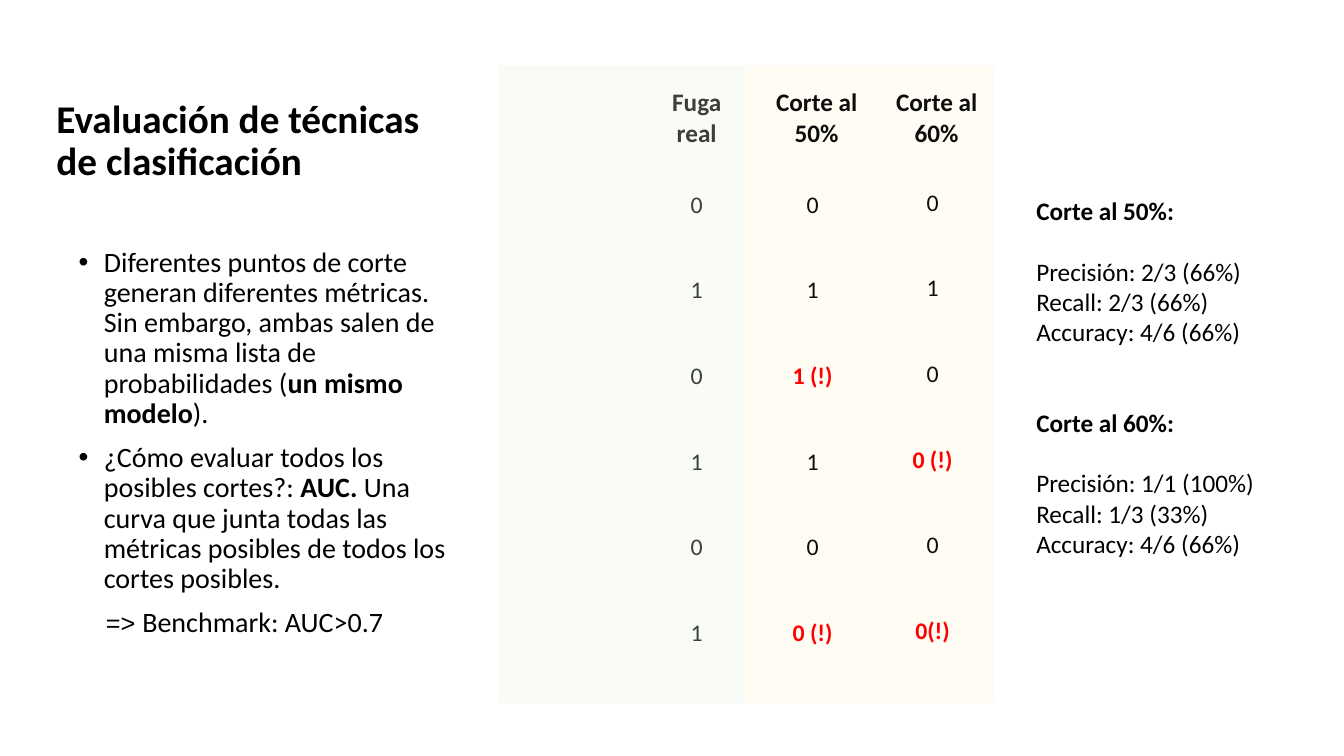
import pptx
import pptx.dml.color
import pptx.enum.shapes
import pptx.enum.text
import pptx.oxml.ns
import pptx.util
from lxml import etree

Inches = pptx.util.Inches
Pt = pptx.util.Pt
ALIGN = pptx.enum.text.PP_ALIGN
ANCHOR = pptx.enum.text.MSO_ANCHOR
BLACK, DARK, RED = "000000", "0D0D0D", "FF0000"

COLUMNS = [  # heading, left, width, heading width, top, values
    ("Fuga real", 6.42, 0.98, 0.98, 1.83, ["0", "1", "0", "1", "0", "1"]),
    ("Corte al 50%", 7.57, 0.98, 1.21, 1.83,
     ["0", "1", "1 (!)", "1", "0", "0 (!)"]),
    ("Corte al 60%", 8.76, 0.98, 1.21, 1.81,
     ["0", "1", "0", "0 (!)", "0", "0(!)"]),
]
METRICS = [
    ("Corte al 50%:", ["Precisión: 2/3 (66%)", "Recall: 2/3 (66%)",
                       "Accuracy: 4/6 (66%)"]),
    ("Corte al 60%:", ["Precisión: 1/1 (100%)", "Recall: 1/3 (33%)",
                       "Accuracy: 4/6 (66%)"]),
]
BULLETS = [  # each run: text, bold
    [("Diferentes puntos de corte generan diferentes métricas. Sin embargo, "
      "ambas salen de una misma lista de probabilidades (", False),
     ("un mismo modelo", True), (").", False)],
    [("¿Cómo evaluar todos los posibles cortes?: ", False), ("AUC. ", True),
     ("Una curva que junta todas las métricas posibles de todos los cortes "
      "posibles.", False)],
]


def color(hex_text):
    return pptx.dml.color.RGBColor.from_string(hex_text)


def style(paragraph, size, hex_text, bold=False, before=0, align=ALIGN.LEFT):
    paragraph.alignment = align
    paragraph.space_before = Pt(before)
    paragraph.font.name = "Calibri"
    paragraph.font.size = Pt(size)
    paragraph.font.bold = bold
    paragraph.font.color.rgb = color(hex_text)


def place(shape, left, top, width, height):
    shape.left, shape.top = Inches(left), Inches(top)
    shape.width, shape.height = Inches(width), Inches(height)


def next_paragraph(frame, index):
    return frame.add_paragraph() if index else frame.paragraphs[0]


def add_text(slide, left, top, width, height, lines):
    """Add a box of lines, each a text with its style arguments."""
    box = slide.shapes.add_textbox(
        Inches(left), Inches(top), Inches(width), Inches(height))
    box.text_frame.word_wrap = True
    for index, (text, arguments) in enumerate(lines):
        paragraph = next_paragraph(box.text_frame, index)
        paragraph.text = text
        style(paragraph, **arguments)


def add_panel(slide, left, top, width, height, hex_text):
    panel = slide.shapes.add_shape(
        pptx.enum.shapes.MSO_SHAPE.RECTANGLE,
        Inches(left), Inches(top), Inches(width), Inches(height))
    panel.shadow.inherit = False
    panel.line.fill.background()
    panel.fill.solid()
    panel.fill.fore_color.rgb = color(hex_text)
    tint = panel.fill._xPr.find(".//" + pptx.oxml.ns.qn("a:srgbClr"))
    etree.SubElement(tint, pptx.oxml.ns.qn("a:alpha"), val="22000")


def add_column(slide, heading, left, width, heading_width, top, values):
    heading_left = left + (width - heading_width) / 2 + (
        0.04 if heading_width > width else 0)
    add_text(slide, heading_left, 0.81, heading_width, 0.71, [
        (heading, dict(size=18, hex_text=DARK, bold=True, align=ALIGN.CENTER))])
    lines = []
    for index, value in enumerate(values):
        wrong = "!" in value
        lines.append((value, dict(
            size=17, hex_text=RED if wrong else DARK, bold=wrong,
            before=40.8 if index else 0, align=ALIGN.CENTER)))
    add_text(slide, left, top, width, 4.96, lines)


def add_metrics(slide, left, top, width, height):
    line_height = 21.6
    lines = []
    for heading, values in METRICS:
        lines.append((heading, dict(size=18, hex_text=BLACK, bold=True,
                                    before=2 * line_height if lines else 0)))
        for index, value in enumerate(values):
            lines.append((value, dict(size=18, hex_text=BLACK,
                                      before=0 if index else line_height)))
    add_text(slide, left, top, width, height, lines)


def set_bullet(paragraph, left, hanging, character=None):
    properties = paragraph._p.get_or_add_pPr()
    properties.set("marL", str(Inches(left)))
    properties.set("indent", str(-Inches(hanging)))
    if character:
        font = etree.SubElement(properties, pptx.oxml.ns.qn("a:buFont"))
        font.set("typeface", "Arial")
        bullet = etree.SubElement(properties, pptx.oxml.ns.qn("a:buChar"))
        bullet.set("char", character)
    else:
        etree.SubElement(properties, pptx.oxml.ns.qn("a:buNone"))


def fill_title(title, left, top, width, height):
    place(title, left, top, width, height)
    frame = title.text_frame
    frame.text = "Evaluación de técnicas de clasificación"
    frame.vertical_anchor = ANCHOR.BOTTOM
    frame.auto_size = pptx.enum.text.MSO_AUTO_SIZE.NONE
    style(frame.paragraphs[0], 28, BLACK, bold=True)
    frame.paragraphs[0].line_spacing = 0.9


def fill_body(body, left, top, width, height):
    place(body, left, top, width, height)
    frame = body.text_frame
    frame.vertical_anchor = ANCHOR.TOP
    frame.auto_size = pptx.enum.text.MSO_AUTO_SIZE.NONE
    for index, runs in enumerate(BULLETS):
        paragraph = next_paragraph(frame, index)
        set_bullet(paragraph, 0.25, 0.25, "•")
        style(paragraph, 20, BLACK, before=10 if index else 0)
        paragraph.line_spacing = 0.9
        for text, bold in runs:
            run = paragraph.add_run()
            run.text = text
            if bold:
                run.font.bold = True
    benchmark = frame.add_paragraph()
    set_bullet(benchmark, 0.27, 0)
    style(benchmark, 20, BLACK, before=10)
    benchmark.line_spacing = 0.9
    arrow = benchmark.add_run()
    arrow.text = "=> "
    arrow.font.name = "Arial"
    arrow.font.size = Pt(18)
    benchmark.add_run().text = "Benchmark: AUC>0.7"


def main():
    presentation = pptx.Presentation()
    presentation.slide_width = Inches(13.33)
    presentation.slide_height = Inches(7.5)
    slide = presentation.slides.add_slide(presentation.slide_layouts[1])
    fill_title(slide.shapes.title, 0.46, 0.65, 3.93, 1.23)
    fill_body(slide.placeholders[1], 0.68, 2.41, 4.06, 4.12)
    add_panel(slide, 7.39, 0.65, 2.47, 6.33, "FFF2CC")
    for column in COLUMNS:
        add_column(slide, *column)
    add_panel(slide, 4.95, 0.65, 2.44, 6.33, "E2F0D9")
    add_metrics(slide, 10.18, 1.89, 2.74, 4.64)
    presentation.save("out.pptx")


if __name__ == "__main__":
    main()
